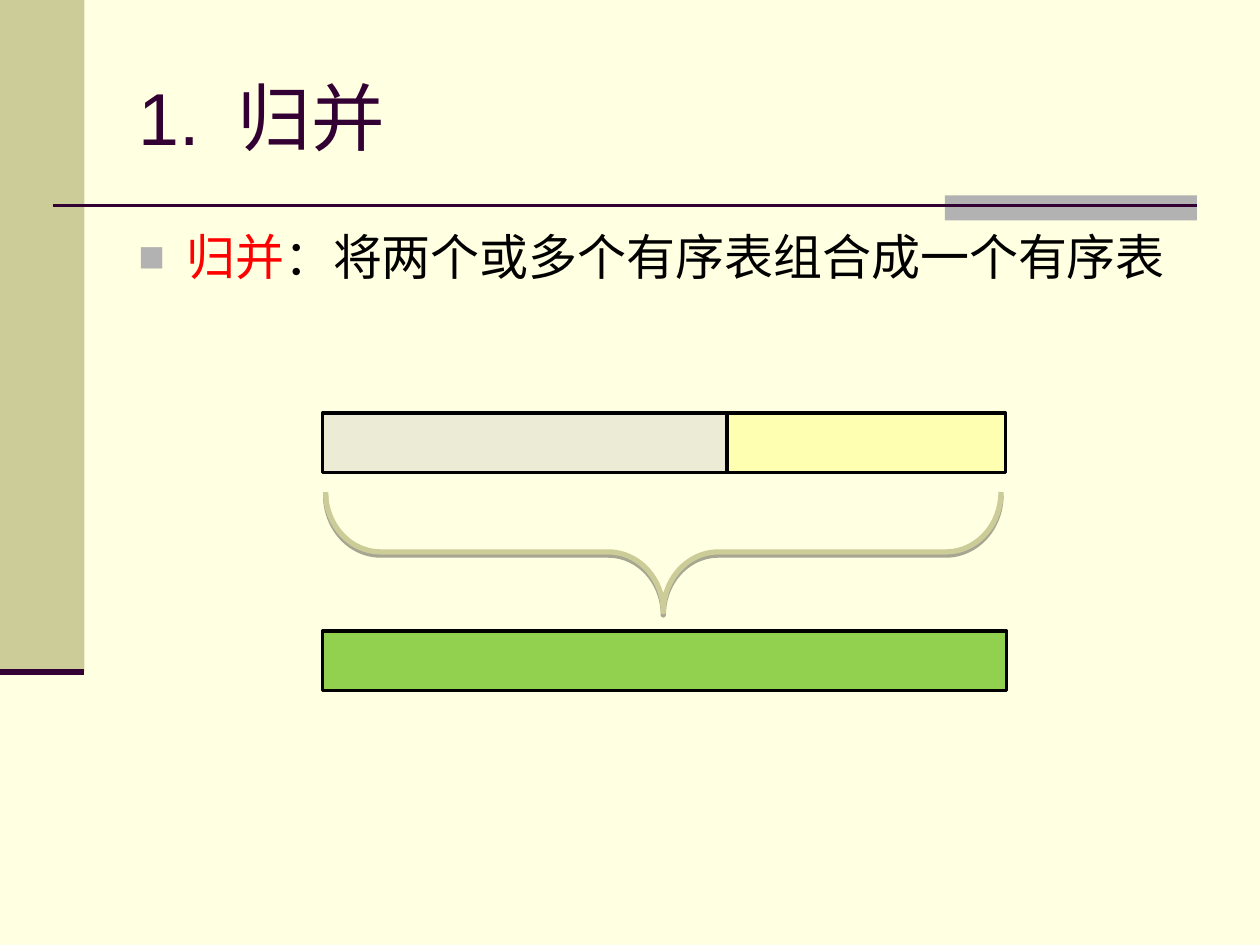
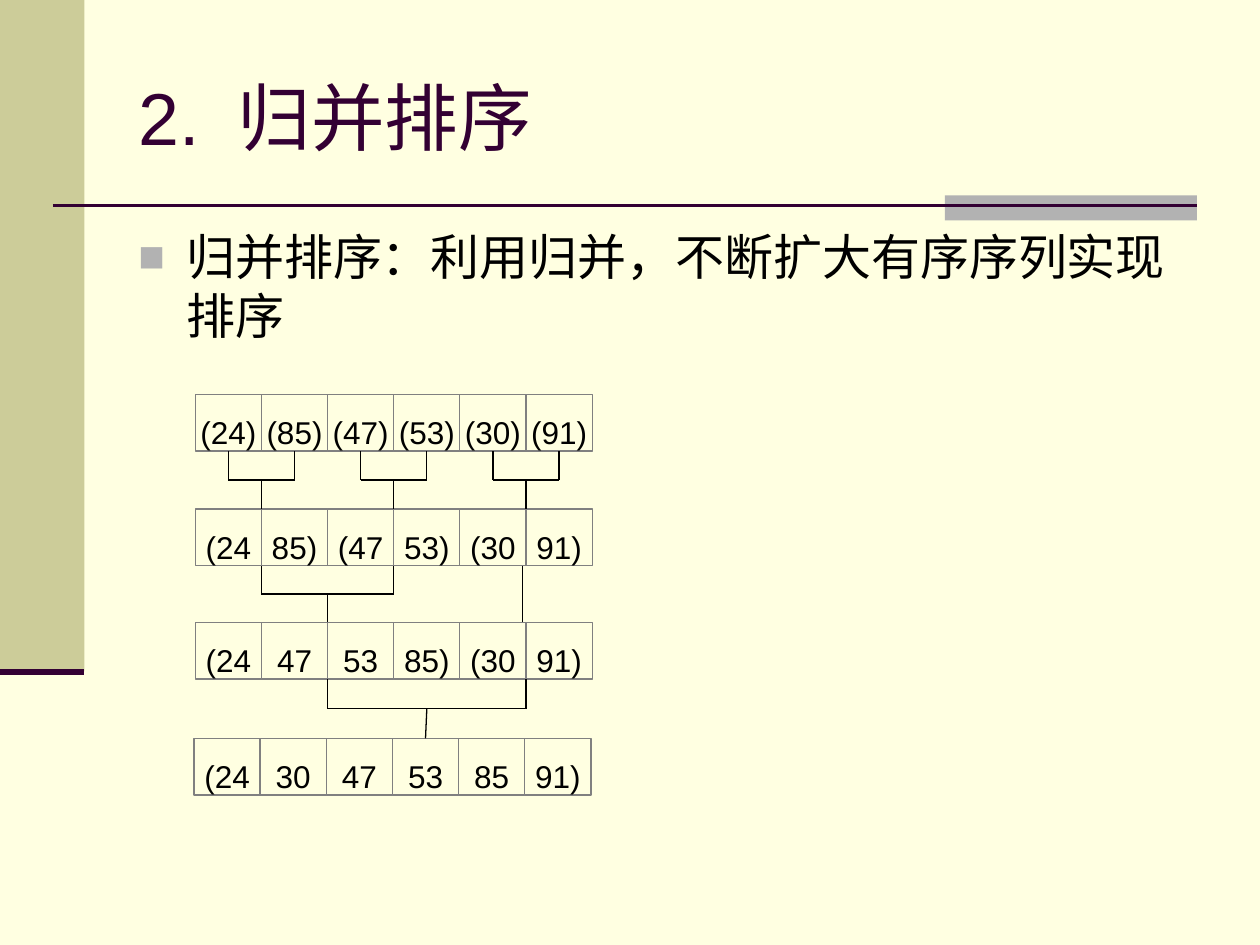
from dataclasses import dataclass

from lxml.etree import SubElement
from pptx import Presentation
from pptx.dml.color import RGBColor
from pptx.enum.shapes import MSO_CONNECTOR, MSO_SHAPE
from pptx.enum.text import MSO_ANCHOR, PP_ALIGN
from pptx.oxml.ns import qn
from pptx.util import Inches, Pt


@dataclass(frozen=True)
class Theme:
    font: str = "Arial"
    background: str = "FFFFE1"
    sidebar: str = "CCCC99"
    accent: str = "B2B2B2"
    title: str = "330033"
    text: str = "000000"
    keyword: str = "FF0000"
    cell_line: str = "808080"
    first_list: str = "EBEBD6"
    second_list: str = "FFFFB1"
    merged_list: str = "92D050"
    title_size: int = 42
    body_size: int = 28
    cell_size: int = 18
    title_gap: int = 10


THEME = Theme()

# Title as number and words; body as (text, colour) spans
MERGE = {
    "title": ("1.", "归并"),
    "body": [("归并", THEME.keyword),
             ("：将两个或多个有序表组合成一个有序表", THEME.text)],
}
MERGE_SORT = {
    "title": ("2.", "归并排序"),
    "body": [("归并排序：利用归并，不断扩大有序序列实现排序", THEME.text)],
}

# left, top, width, height, fill
LIST_BARS = [
    (2.56, 5.01, 5.43, 0.47, THEME.merged_list),
    (2.56, 3.28, 3.22, 0.47, THEME.first_list),
    (5.77, 3.28, 2.21, 0.47, THEME.second_list),
]
BRACE = (4.79, 1.7, 0.95, 5.36)

# left, top, values
SORT_PASSES = [
    (1.55, 3.13, ["(24)", "(85)", "(47)", "(53)", "(30)", "(91)"]),
    (1.55, 4.04, ["(24", "85)", "(47", "53)", "(30", "91)"]),
    (1.55, 4.94, ["(24", "47", "53", "85)", "(30", "91)"]),
    (1.54, 5.86, ["(24", "30", "47", "53", "85", "91)"]),
]
CELL_WIDTH, CELL_HEIGHT = 0.525, 0.45

# After each pass, the joined positions in cell widths from the left edge
JOINS = [
    [(0.5, 1.5), (2.5, 3.5), (4.5, 5.5)],
    [(1, 3)],
    [(2, 5)],
]
CARRIED_DOWN = (1, 4.95)  # pass and position of the run that has no partner


def colour(value):
    return RGBColor.from_string(value)


def apply(target, formats):
    for name, value in formats.items():
        setattr(target, name, value)


def add_block(page, kind, place, fill=None, line=None, weight=0.75):
    block = page.shapes.add_shape(kind, *map(Inches, place))
    block.shadow.inherit = False
    if fill:
        block.fill.solid()
        block.fill.fore_color.rgb = colour(fill)
    else:
        block.fill.background()
    if line:
        block.line.color.rgb = colour(line)
        block.line.width = Pt(weight)
    else:
        block.line.fill.background()
    return block


def add_line(page, start, end, line=THEME.text, weight=0.75):
    connector = page.shapes.add_connector(
        MSO_CONNECTOR.STRAIGHT, *map(Inches, (*start, *end)))
    connector.line.color.rgb = colour(line)
    connector.line.width = Pt(weight)
    SubElement(connector._element.spPr, qn("a:effectLst"))
    return connector


def add_span(para, text, size, tint):
    span = para.add_run()
    span.text = text
    apply(span.font, {"name": THEME.font, "size": Pt(size)})
    span.font.color.rgb = colour(tint)
    return span


def add_text_box(page, place, anchor):
    box = page.shapes.add_textbox(*map(Inches, place))
    apply(box.text_frame, {"word_wrap": True, "vertical_anchor": anchor})
    return box.text_frame.paragraphs[0]


def add_bullet(para):
    properties = para._p.get_or_add_pPr()
    properties.set("marL", str(Inches(0.38)))
    properties.set("indent", str(-Inches(0.38)))
    tint = SubElement(properties, qn("a:buClr"))
    SubElement(tint, qn("a:srgbClr"), val=THEME.accent)
    SubElement(properties, qn("a:buSzPct"), val="90000")
    SubElement(properties, qn("a:buFont"), typeface=THEME.font)
    SubElement(properties, qn("a:buChar"), char="■")


def add_page(deck, content):
    """Add a page with its bands, rules, title and bulleted body."""
    page = deck.slides.add_slide(deck.slide_layouts[6])
    page.background.fill.solid()
    page.background.fill.fore_color.rgb = colour(THEME.background)
    add_block(page, MSO_SHAPE.RECTANGLE, (0, 0, 0.67, 5.33), THEME.sidebar)
    add_block(page, MSO_SHAPE.RECTANGLE, (7.5, 1.55, 2, 0.2), THEME.accent)
    add_line(page, (0.42, 1.63), (9.5, 1.63), THEME.title, 1.5)
    add_line(page, (0, 5.33), (0.67, 5.33), THEME.title, 3.5)

    number, words = content["title"]
    para = add_text_box(page, (1, 0.3, 8.5, 1.25), MSO_ANCHOR.MIDDLE)
    add_span(para, number, THEME.title_size, THEME.title)
    gap = add_span(para, " ", THEME.title_size, THEME.title)
    gap._r.get_or_add_rPr().set("spc", str(THEME.title_gap * 100))
    add_span(para, words, THEME.title_size, THEME.title)

    para = add_text_box(page, (1, 1.75, 8.5, 4.95), MSO_ANCHOR.TOP)
    para.space_before = Pt(7)
    add_bullet(para)
    for text, tint in content["body"]:
        add_span(para, text, THEME.body_size, tint)
    return page


def add_brace(page):
    """Draw a brace that points down, with a hard shadow below it."""
    brace = add_block(page, MSO_SHAPE.LEFT_BRACE, BRACE,
                      line=THEME.sidebar, weight=3)
    brace.rotation = 270
    brace.adjustments[0] = 0.46
    effects = brace._element.spPr.find(qn("a:effectLst"))
    shadow = SubElement(effects, qn("a:outerShdw"), blurRad="0",
                        dist=str(Pt(1.8)), dir="5400000", rotWithShape="0")
    tint = SubElement(shadow, qn("a:srgbClr"), val=THEME.text)
    SubElement(tint, qn("a:alpha"), val="35000")


def add_sort_pass(page, left, top, values):
    cells = []
    for column, value in enumerate(values):
        place = (left + column * CELL_WIDTH, top, CELL_WIDTH, CELL_HEIGHT)
        cell = add_block(page, MSO_SHAPE.RECTANGLE, place,
                         line=THEME.cell_line)
        apply(cell.text_frame, {
            "margin_left": 0, "margin_right": 0, "margin_top": 0,
            "margin_bottom": 0, "vertical_anchor": MSO_ANCHOR.TOP,
            "word_wrap": True})
        para = cell.text_frame.paragraphs[0]
        apply(para, {"alignment": PP_ALIGN.CENTER, "line_spacing": 1.5})
        add_span(para, value, THEME.cell_size, THEME.text)
        cells.append(cell)
    return cells


def add_join(page, upper, lower, level, pair):
    """Bracket two runs and lead a stem down to the run they merge into."""
    left, top, _ = SORT_PASSES[level]
    top += CELL_HEIGHT
    bottom = SORT_PASSES[level + 1][1]
    middle = (top + bottom) / 2
    ends = [left + position * CELL_WIDTH for position in pair]
    for position, x in zip(pair, ends):
        drop = add_line(page, (x, top), (x, middle))
        if position % 1:
            drop.begin_connect(upper[int(position)], 2)
    add_line(page, (ends[0], middle), (ends[1], middle))
    stem_position = sum(pair) / 2
    stem_x = sum(ends) / 2
    stem = add_line(page, (stem_x, middle), (stem_x, bottom))
    if stem_position % 1:
        stem.end_connect(lower[int(stem_position)], 0)


def build_merge(deck):
    page = add_page(deck, MERGE)
    for *place, fill in LIST_BARS:
        add_block(page, MSO_SHAPE.RECTANGLE, place, fill, THEME.text, 2)
    add_brace(page)


def build_merge_sort(deck):
    page = add_page(deck, MERGE_SORT)
    passes = [add_sort_pass(page, *sort_pass) for sort_pass in SORT_PASSES]
    for level, pairs in enumerate(JOINS):
        for pair in pairs:
            add_join(page, passes[level], passes[level + 1], level, pair)
    level, position = CARRIED_DOWN
    left, top, _ = SORT_PASSES[level]
    x = left + position * CELL_WIDTH
    add_line(page, (x, top + CELL_HEIGHT), (x, SORT_PASSES[level + 1][1]))


def main():
    deck = Presentation()
    apply(deck, {"slide_width": Inches(10), "slide_height": Inches(7.5)})
    build_merge(deck)
    build_merge_sort(deck)
    deck.save("out.pptx")


if __name__ == "__main__":
    main()
